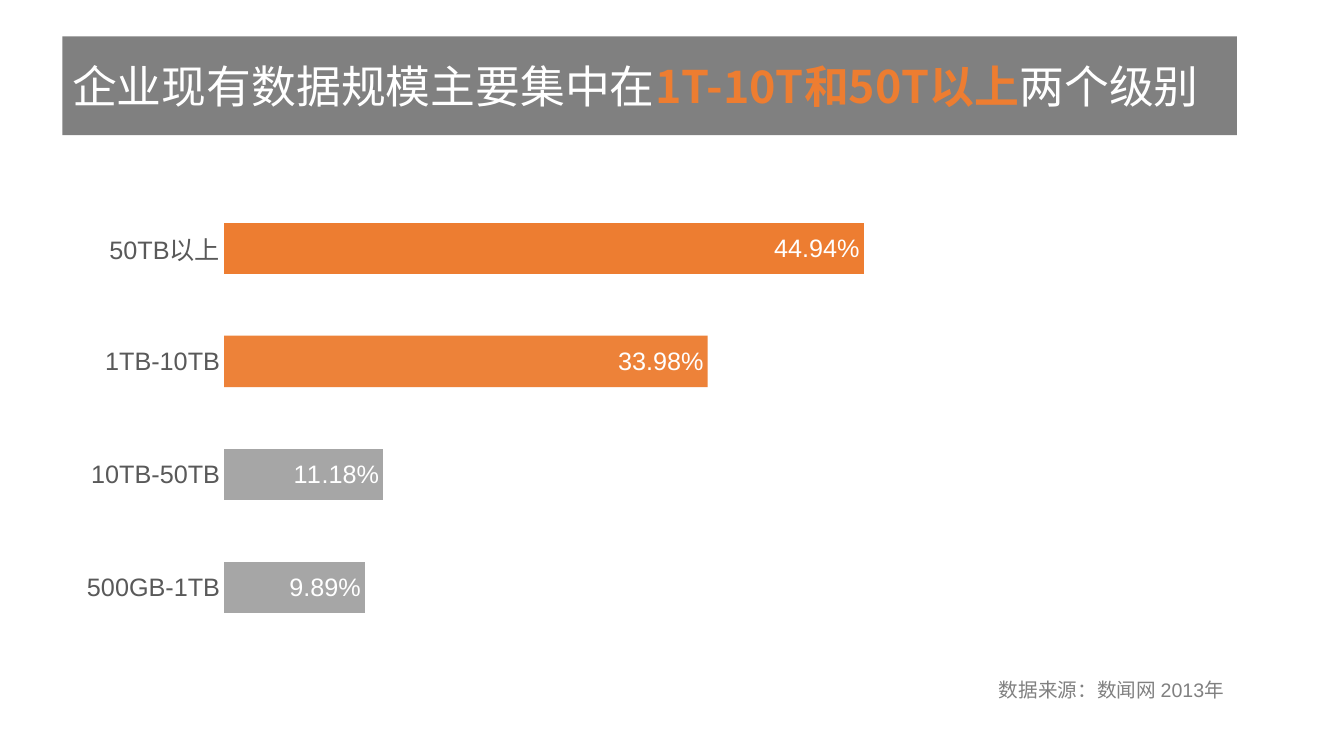
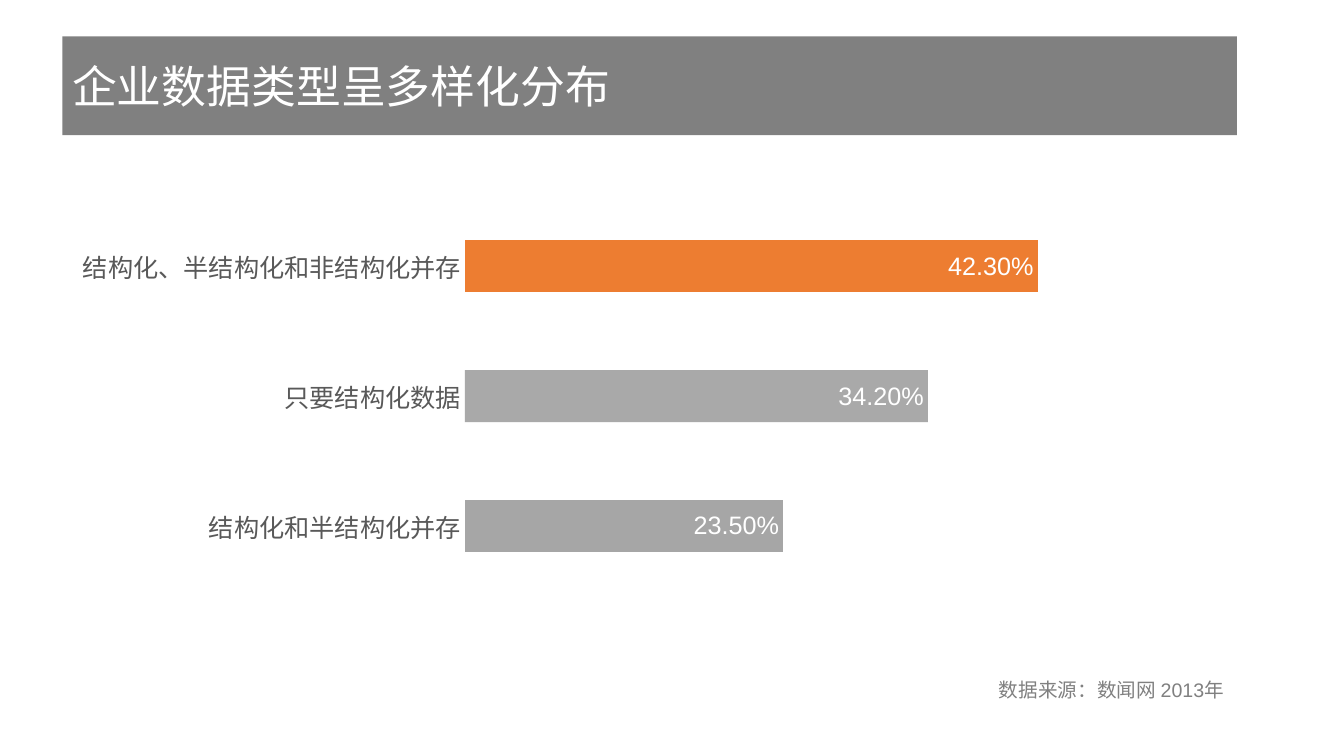
from pptx import Presentation
from pptx.chart.data import CategoryChartData
from pptx.dml.color import RGBColor
from pptx.enum.chart import XL_CHART_TYPE as CT, XL_LABEL_POSITION as LP, XL_TICK_LABEL_POSITION as TLP, XL_TICK_MARK as TM
from pptx.enum.shapes import MSO_SHAPE
from pptx.enum.text import MSO_ANCHOR, MSO_AUTO_SIZE, PP_ALIGN
from pptx.oxml.ns import qn
from pptx.util import Pt
from lxml import etree

COLORS = {"band": "808080", "accent": "ED7D31", "bar": "A6A6A6",
          "label": "595959", "white": "FFFFFF", "black": "000000"}
TITLE_FONT, BODY_FONT = "Noto Sans CJK SC", "Arial"
TITLE_BOX = (44.5, 26, 839, 70.5)
SOURCE_BOX = (706.5, 481, 177, 24.5)
SOURCE = "数据来源：数闻网 2013年"

SLIDES = [
    {"title": [("企业现有数据规模主要集中在", False), ("1T-10T和50T以上", True), ("两个级别", False)],
     "box": (49.5, 130.5, 631.5, 336), "gap": 120, "maximum": 0.5,
     "data": {"50TB以上": 0.4494, "1TB-10TB": 0.3398, "10TB-50TB": 0.1118, "500GB-1TB": 0.0989},
     "points": ["accent", "accent"]},
    {"title": [("企业数据类型呈多样化分布", False)],
     "box": (44.5, 138, 737.5, 290), "gap": 150, "maximum": 0.45,
     "data": {"结构化、半结构化和非结构化并存": 0.423, "只要结构化数据": 0.342, "结构化和半结构化并存": 0.235},
     "points": ["accent", "bar"]},
]


def rgb(name):
    """Return the named colour."""
    return RGBColor.from_string(COLORS[name])


def style_font(font, name, size, color):
    """Set the face, size and colour of a font."""
    font.name, font.size = name, Pt(size)
    font.color.rgb = rgb(color)


def add_title(s, box, parts):
    """Draw the title band, with stressed parts bold in the accent colour."""
    sp = s.shapes.add_shape(MSO_SHAPE.RECTANGLE, *map(Pt, box))
    sp.shadow.inherit = False
    sp.fill.solid()
    sp.fill.fore_color.rgb = rgb("band")
    sp.line.fill.background()
    tf = sp.text_frame
    tf.word_wrap, tf.vertical_anchor = True, MSO_ANCHOR.MIDDLE
    p = tf.paragraphs[0]
    p.alignment = PP_ALIGN.LEFT
    p.font.name, p.font.size = TITLE_FONT, Pt(32)
    for text, stressed in parts:
        r = p.add_run()
        r.text = text
        r.font.bold = stressed
        r.font.color.rgb = rgb("accent" if stressed else "white")


def add_source(s, box):
    """Place the data source note."""
    tf = s.shapes.add_textbox(*map(Pt, box)).text_frame
    tf.word_wrap, tf.auto_size = True, MSO_AUTO_SIZE.SHAPE_TO_FIT_TEXT
    p = tf.paragraphs[0]
    p.text = SOURCE
    style_font(p.font, BODY_FONT, 14, "band")


def set_alpha(fill, percent):
    """Make a solid fill partly transparent."""
    for color in fill._xPr.iter(qn("a:srgbClr")):
        etree.SubElement(color, qn("a:alpha")).set("val", str(percent * 1000))


def add_bars(s, box, data, points, gap, maximum):
    """Draw the bar chart, with its first bars coloured one by one."""
    chart_data = CategoryChartData(number_format="0.00%")
    chart_data.categories = list(data)
    chart_data.add_series("Series 1", list(data.values()))
    chart = s.shapes.add_chart(CT.BAR_CLUSTERED, *map(Pt, box), chart_data).chart
    style_font(chart.font, BODY_FONT, 10, "black")
    chart.has_legend = chart.has_title = False

    cat_axis, val_axis = chart.category_axis, chart.value_axis
    cat_axis.reverse_order = True
    cat_axis.major_tick_mark = cat_axis.minor_tick_mark = TM.NONE
    cat_axis.tick_label_position = TLP.NEXT_TO_AXIS
    cat_axis.format.line.fill.background()
    style_font(cat_axis.tick_labels.font, BODY_FONT, 18, "label")
    val_axis.minimum_scale, val_axis.maximum_scale = 0, maximum
    val_axis.has_major_gridlines = val_axis.visible = False

    plot = chart.plots[0]
    plot.gap_width, plot.vary_by_categories = gap, False
    series = plot.series[0]
    series.format.fill.solid()
    series.format.fill.fore_color.rgb = rgb("bar")
    for i, color in enumerate(points):
        fill = series.points[i].format.fill
        fill.solid()
        fill.fore_color.rgb = rgb(color)
    set_alpha(series.points[1].format.fill, 96)

    labels = series.data_labels
    labels.show_value, labels.position = True, LP.INSIDE_END
    labels.number_format, labels.number_format_is_linked = "0.00%", False
    style_font(labels.font, BODY_FONT, 18, "white")


def build_slide(prs, title, box, **chart):
    """Add one slide with its title, source note and chart."""
    s = prs.slides.add_slide(prs.slide_layouts[6])
    add_title(s, TITLE_BOX, title)
    add_source(s, SOURCE_BOX)
    add_bars(s, box, **chart)


def main():
    """Build and save the presentation."""
    prs = Presentation()
    prs.slide_width, prs.slide_height = Pt(960), Pt(540)
    for content in SLIDES:
        build_slide(prs, **content)
    prs.save("out.pptx")


if __name__ == "__main__":
    main()
